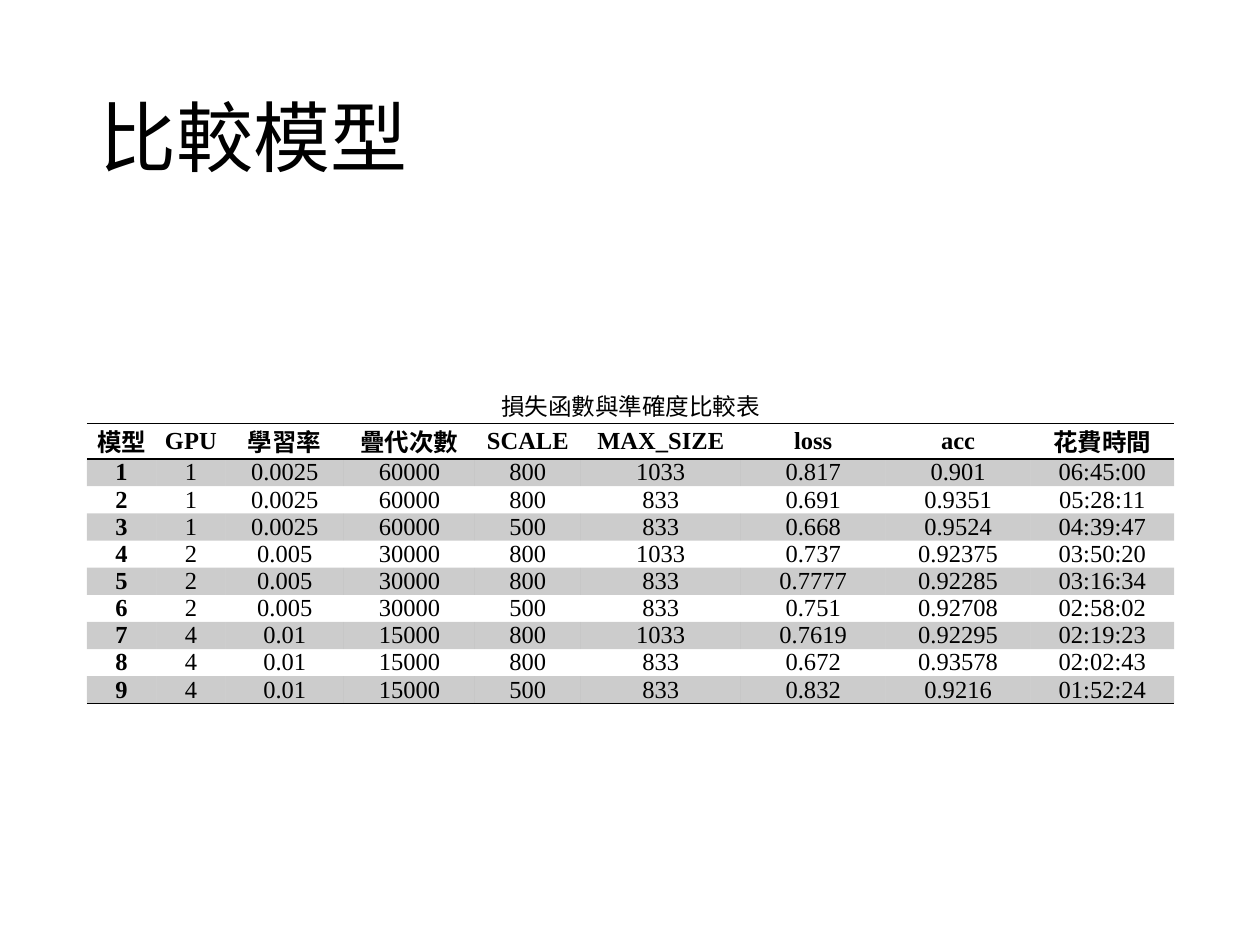
from dataclasses import dataclass

from lxml import etree
from pptx import Presentation
from pptx.dml.color import RGBColor
from pptx.enum import text
from pptx.oxml import ns
from pptx.util import Pt


@dataclass(frozen=True)
class Theme:
    ink: RGBColor = RGBColor(0, 0, 0)
    band_alpha: int = 20  # percent
    latin: str = "Times New Roman"
    cjk: str = "Noto Sans CJK SC"
    title_size: float = 44
    caption_size: float = 13.5
    table_size: float = 14
    rule_width: float = 1


THEME = Theme()
PLAIN_STYLE = "{2D5ABB26-0587-4C30-8999-92F81FD0307C}"  # no style, no grid

COLUMN_WIDTHS = [39.6, 39.6, 67.68, 74.88, 60.48, 91.44, 82.8, 82.8, 82.08]
ROW_HEIGHT = 12.24
HEADERS = ["模型", "GPU", "學習率", "疊代次數", "SCALE", "MAX_SIZE",
           "loss", "acc", "花費時間"]
# Each GPU count fixes the learning rate and the number of iterations
SCHEDULES = [("1", "0.0025", "60000"), ("2", "0.005", "30000"), ("4", "0.01", "15000")]
# Each schedule is run with these image sizes
IMAGE_SIZES = [("800", "1033"), ("800", "833"), ("500", "833")]
RESULTS = [
    ("0.817", "0.901", "06:45:00"),
    ("0.691", "0.9351", "05:28:11"),
    ("0.668", "0.9524", "04:39:47"),
    ("0.737", "0.92375", "03:50:20"),
    ("0.7777", "0.92285", "03:16:34"),
    ("0.751", "0.92708", "02:58:02"),
    ("0.7619", "0.92295", "02:19:23"),
    ("0.672", "0.93578", "02:02:43"),
    ("0.832", "0.9216", "01:52:24"),
]


def add_run(paragraph, words, size, latin=THEME.latin, bold=False):
    run = paragraph.add_run()
    run.text = words
    run.font.size = Pt(size)
    run.font.bold = bold
    run.font.color.rgb = THEME.ink
    run.font.name = latin
    east_asian = etree.SubElement(run.font._element, ns.qn("a:ea"))
    east_asian.set("typeface", THEME.cjk)


def add_rule(cell, side):
    """Draw a border on a cell; side is lnT or lnB. Call before filling."""
    line = etree.SubElement(cell._tc.get_or_add_tcPr(), ns.qn(f"a:{side}"),
                            w=str(Pt(THEME.rule_width)))
    fill = etree.SubElement(line, ns.qn("a:solidFill"))
    etree.SubElement(fill, ns.qn("a:srgbClr"), val=str(THEME.ink))


def fill_cell(cell, banded):
    if not banded:
        cell.fill.background()
        return
    cell.fill.solid()
    cell.fill.fore_color.rgb = THEME.ink
    color = cell._tc.tcPr.find(ns.qn("a:solidFill")).find(ns.qn("a:srgbClr"))
    etree.SubElement(color, ns.qn("a:alpha"), val=str(THEME.band_alpha * 1000))


def write_cell(cell, words, bold, anchor):
    cell.margin_left = cell.margin_right = Pt(0.72)
    cell.margin_top = cell.margin_bottom = 0
    cell.vertical_anchor = anchor
    paragraph = cell.text_frame.paragraphs[0]
    paragraph.alignment = text.PP_ALIGN.CENTER
    add_run(paragraph, words, THEME.table_size, bold=bold)


def set_title(slide, words):
    title = slide.shapes.title
    title.left, title.top, title.width, title.height = (
        Pt(49.68), Pt(28.8), Pt(620.64), Pt(104.4))
    frame = title.text_frame
    frame.auto_size = text.MSO_AUTO_SIZE.NONE
    frame.vertical_anchor = text.MSO_ANCHOR.MIDDLE
    paragraph = frame.paragraphs[0]
    paragraph.alignment = text.PP_ALIGN.LEFT
    paragraph.line_spacing = 0.9
    add_run(paragraph, words, THEME.title_size)


def add_caption(slide, words):
    caption = slide.shapes.add_textbox(Pt(279.36), Pt(220.32), Pt(164.16), Pt(23.76))
    frame = caption.text_frame
    frame.word_wrap = False
    frame.auto_size = text.MSO_AUTO_SIZE.SHAPE_TO_FIT_TEXT
    add_run(frame.paragraphs[0], words, THEME.caption_size, latin=THEME.cjk)


def model_rows():
    settings = [(*schedule, *size) for schedule in SCHEDULES for size in IMAGE_SIZES]
    return [(str(number), *setting, *result)
            for number, (setting, result) in enumerate(zip(settings, RESULTS), 1)]


def add_comparison(slide):
    rows = [HEADERS, *model_rows()]
    graphic = slide.shapes.add_table(
        len(rows), len(HEADERS), Pt(49.68), Pt(241.92),
        Pt(sum(COLUMN_WIDTHS)), Pt(ROW_HEIGHT * len(rows)))
    comparison = graphic.table
    comparison.first_row = comparison.horz_banding = False
    comparison._tbl.tblPr.find(ns.qn("a:tableStyleId")).text = PLAIN_STYLE
    for column, width in zip(comparison.columns, COLUMN_WIDTHS):
        column.width = Pt(width)

    last = len(rows) - 1
    for r, values in enumerate(rows):
        for c, words in enumerate(values):
            cell = comparison.cell(r, c)
            anchor = text.MSO_ANCHOR.TOP if c == 0 else text.MSO_ANCHOR.MIDDLE
            write_cell(cell, words, bold=r == 0 or c == 0, anchor=anchor)
            if r == 0:
                add_rule(cell, "lnT")
            if r in (0, last):
                add_rule(cell, "lnB")
            fill_cell(cell, banded=r % 2 == 1)
    graphic.height = Pt(167.76)


def main():
    deck = Presentation()
    deck.slide_width, deck.slide_height = Pt(720), Pt(540)
    slide = deck.slides.add_slide(deck.slide_layouts[5])  # title only

    # Heading
    set_title(slide, "比較模型")
    # Results table and its caption
    add_comparison(slide)
    add_caption(slide, "損失函數與準確度比較表")

    deck.save("out.pptx")


if __name__ == "__main__":
    main()
